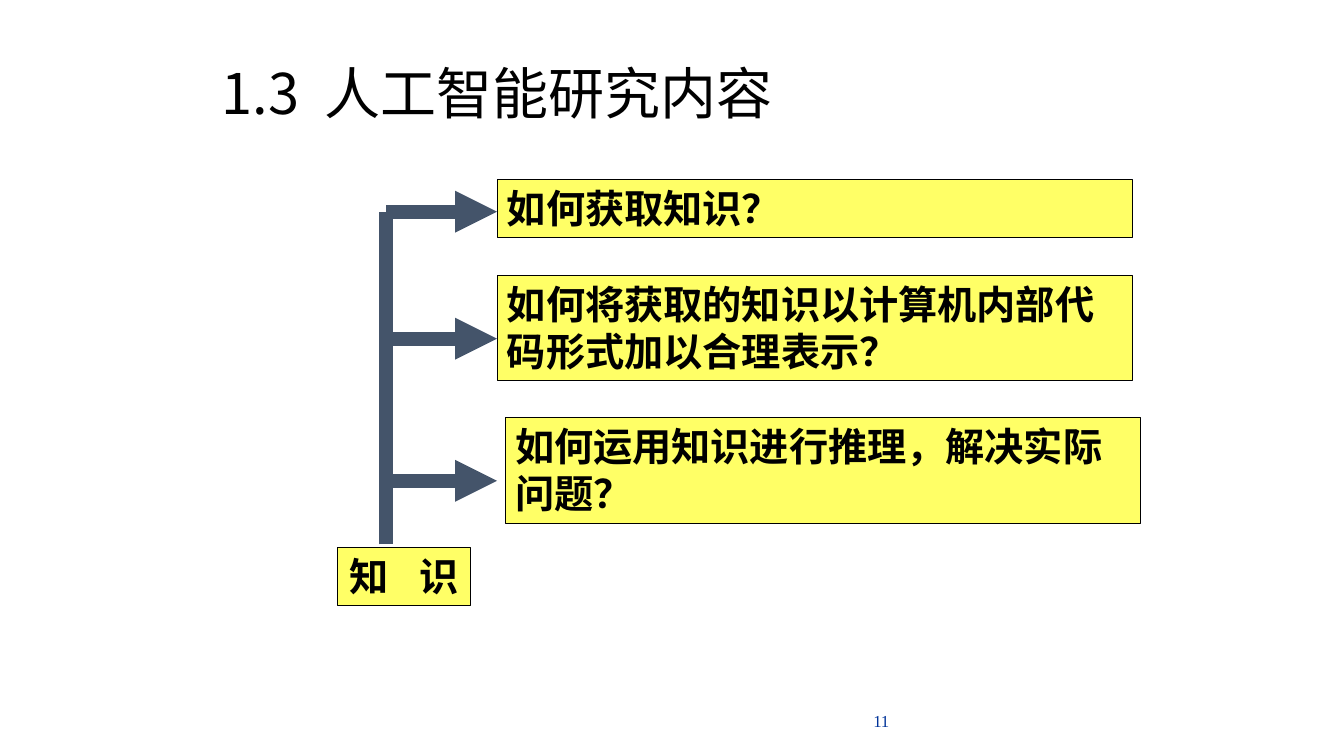
import pptx
import pptx.dml.color
import pptx.enum.shapes
import pptx.enum.text
import pptx.oxml.ns
import pptx.util
from lxml import etree
from pptx.util import Inches

COLORS = {"text": "000000", "box": "FFFF66", "arrow": "44546A", "number": "003399"}
CJK_FONT = "Noto Sans CJK SC"
ALIGN = pptx.enum.text.PP_ALIGN
ANCHOR = pptx.enum.text.MSO_ANCHOR

# Each run is (text, extra character spacing in points).
TITLE = [("1.3", 0), (" ", 9), ("人工智能研究内容", 0)]
KNOWLEDGE = [("知", 0), (" ", 15.5), ("识", 0)]
# question, left, top, height, arrow height on the slide
QUESTIONS = [
    ("如何获取知识？", 4.93, 1.78, 0.58, 2.1),
    ("如何将获取的知识以计算机内部代码形式加以合理表示？", 4.93, 2.73, 1.05, 3.36),
    ("如何运用知识进行推理，解决实际问题？", 5.01, 4.14, 1.05, 4.77),
]
QUESTION_WIDTH = 6.3
TRUNK_X, TRUNK_BOTTOM, ARROW_TIP_X = 3.83, 5.4, 4.93


def rgb(name):
    return pptx.dml.color.RGBColor.from_string(COLORS[name])


def write(shape, runs, size, font=CJK_FONT, color="text", bold=False,
          align=ALIGN.LEFT, anchor=ANCHOR.TOP, wrap=True, line_spacing=None):
    frame = shape.text_frame
    frame.word_wrap = wrap
    frame.vertical_anchor = anchor
    paragraph = frame.paragraphs[0]
    paragraph.alignment = align
    paragraph.line_spacing = line_spacing
    for text, spacing in runs:
        run = paragraph.add_run()
        run.text = text
        run.font.size = pptx.util.Pt(size)
        run.font.bold = bold
        run.font.color.rgb = rgb(color)
        run.font.name = font
        properties = run._r.get_or_add_rPr()
        east_asian = etree.SubElement(properties, pptx.oxml.ns.qn("a:ea"))
        east_asian.set("typeface", CJK_FONT)
        if spacing:
            properties.set("spc", str(round(spacing * 100)))


def add_text(slide, left, top, width, height, runs, size, **style):
    box = slide.shapes.add_textbox(*map(Inches, (left, top, width, height)))
    write(box, runs, size, **style)


def add_box(slide, left, top, width, height, runs, **style):
    box = slide.shapes.add_shape(pptx.enum.shapes.MSO_SHAPE.RECTANGLE,
                                 *map(Inches, (left, top, width, height)))
    box.shadow.inherit = False
    box.fill.solid()
    box.fill.fore_color.rgb = rgb("box")
    box.line.color.rgb = rgb("text")
    box.line.width = pptx.util.Pt(0.75)
    write(box, runs, 28, bold=True, **style)


def add_line(slide, start, end, arrowhead=False):
    line = slide.shapes.add_connector(pptx.enum.shapes.MSO_CONNECTOR.STRAIGHT,
                                      *map(Inches, start + end))
    line.line.color.rgb = rgb("arrow")
    line.line.width = pptx.util.Pt(10)
    if arrowhead:
        tail = etree.SubElement(line.line._get_or_add_ln(), pptx.oxml.ns.qn("a:tailEnd"))
        tail.set("type", "triangle")
    etree.SubElement(line._element.spPr, pptx.oxml.ns.qn("a:effectLst"))


def main():
    presentation = pptx.Presentation()
    presentation.slide_width, presentation.slide_height = Inches(13.33), Inches(7.5)
    slide = presentation.slides.add_slide(presentation.slide_layouts[6])

    add_text(slide, 4.42, 6.95, 4.5, 0.4, [("11", 0)], 12, font="Times New Roman",
             color="number", align=ALIGN.RIGHT, anchor=ANCHOR.MIDDLE)
    add_text(slide, 2.1, 0.6, 9, 0.71, TITLE, 40, anchor=ANCHOR.MIDDLE, line_spacing=0.9)

    add_box(slide, 3.35, 5.43, 1.32, 0.58, KNOWLEDGE, font="Arial",
            align=ALIGN.CENTER, wrap=False)
    for question, left, top, height, _ in QUESTIONS:
        add_box(slide, left, top, QUESTION_WIDTH, height, [(question, 0)])

    trunk_top = QUESTIONS[0][-1]
    add_line(slide, (TRUNK_X, TRUNK_BOTTOM), (TRUNK_X, trunk_top))
    for *_, arrow_y in QUESTIONS:
        add_line(slide, (TRUNK_X, arrow_y), (ARROW_TIP_X, arrow_y), arrowhead=True)

    presentation.save("out.pptx")


if __name__ == "__main__":
    main()
